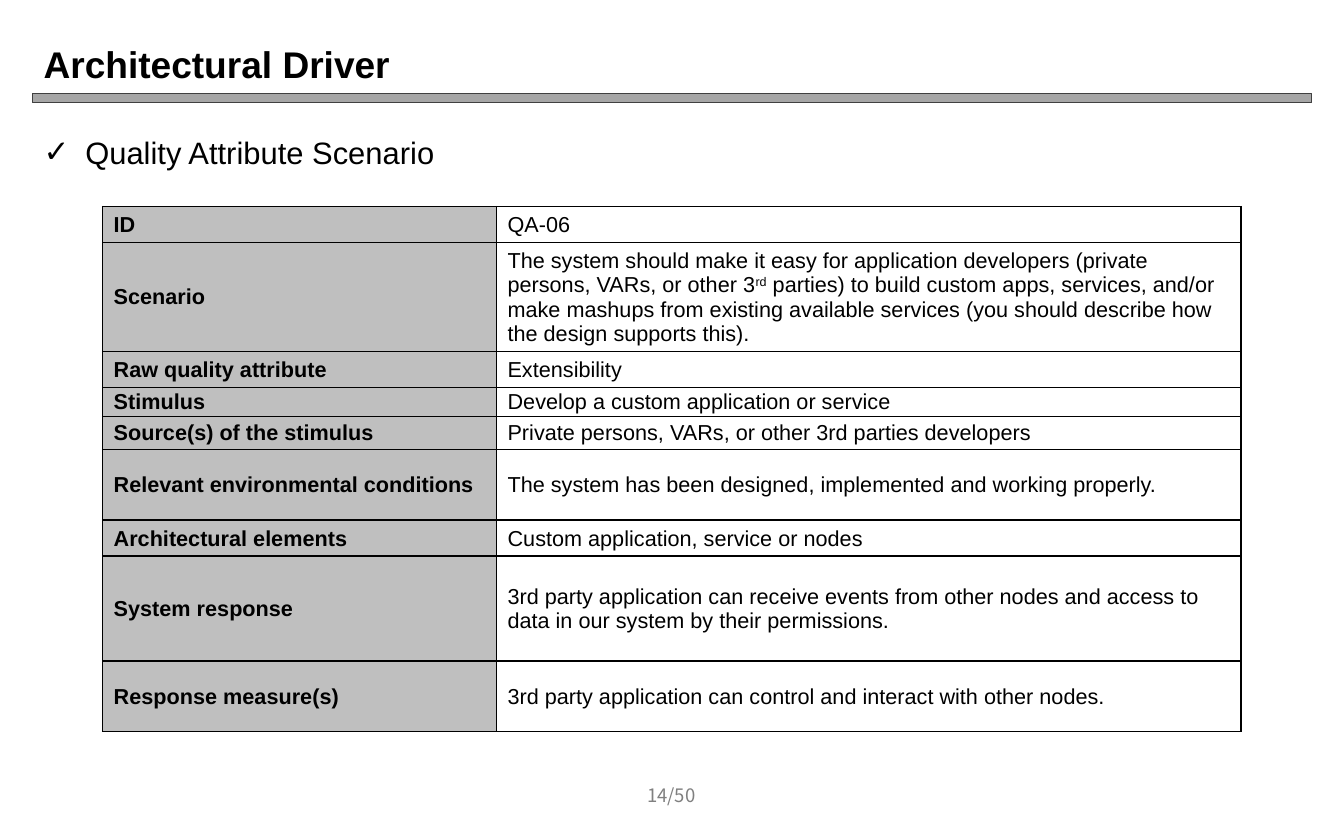
from lxml import etree
from pptx import Presentation
from pptx.dml.color import RGBColor
from pptx.enum.shapes import MSO_SHAPE as Shape
from pptx.enum.text import MSO_ANCHOR as Anchor, MSO_AUTO_SIZE as Fit, PP_ALIGN as Align
from pptx.oxml.ns import qn
from pptx.util import Pt

BLACK = RGBColor(0x00, 0x00, 0x00)
WHITE = RGBColor(0xFF, 0xFF, 0xFF)
BAR = RGBColor(0xA6, 0xA6, 0xA6)
EDGE = RGBColor(0x40, 0x40, 0x40)
LABEL = RGBColor(0xBF, 0xBF, 0xBF)
MUTED = RGBColor(0x80, 0x80, 0x80)

SANS = "Arial"
WIDE, HIGH = 870, 540
LEFT, SPAN = 21, 828
COLS = (255, 482)

# label, row height, text runs as (text, raised)
ROWS = [
    ("ID", 23.3, [("QA-06", False)]),
    ("Scenario", 70.5, [
        ("The system should make it easy for application developers (private "
         "persons, VARs, or other 3", False),
        ("rd", True),
        (" parties) to build custom apps, services, and/or make mashups from "
         "existing available services (you should describe how the design "
         "supports this).", False)]),
    ("Raw quality attribute", 23.3, [("Extensibility", False)]),
    ("Stimulus", 18.8, [("Develop a custom application or service", False)]),
    ("Source(s) of the stimulus", 21.4, [
        ("Private persons, VARs, or other 3rd parties developers", False)]),
    ("Relevant environmental conditions", 45.8, [
        ("The system has been designed, implemented and working properly.", False)]),
    ("Architectural elements", 23.3, [
        ("Custom application, service or nodes", False)]),
    ("System response", 68, [
        ("3rd party application can receive events from other nodes and access "
         "to data in our system by their permissions.", False)]),
    ("Response measure(s)", 45.6, [
        ("3rd party application can control and interact with other nodes.", False)]),
]


def add_run(para, text, size, bold=False, color=BLACK, face=SANS):
    run = para.add_run()
    run.text = text
    font = run.font
    font.size, font.bold, font.name = Pt(size), bold, face
    font.color.rgb = color
    return run


def place(shape, x, y, w, h):
    shape.left, shape.top, shape.width, shape.height = map(Pt, (x, y, w, h))


def add_panel(slide, x, y, w, h, fill, line=None):
    panel = slide.shapes.add_shape(
        Shape.FLOWCHART_PROCESS, Pt(x), Pt(y), Pt(w), Pt(h))
    panel.shadow.inherit = False
    panel.fill.solid()
    panel.fill.fore_color.rgb = fill
    if line is None:
        panel.line.fill.background()
    else:
        panel.line.color.rgb = line
        panel.line.width = Pt(0.75)


def add_header(slide, x, y, w, h):
    add_panel(slide, x, y + h, w, 6, BAR, EDGE)
    add_panel(slide, x, y, w + 6, h, WHITE)
    title = slide.shapes.title
    place(title, x, y + 1, w, h - 1)
    frame = title.text_frame
    frame.auto_size = Fit.NONE
    frame.vertical_anchor = Anchor.MIDDLE
    para = frame.paragraphs[0]
    para.alignment = Align.LEFT
    add_run(para, "Architectural Driver", 24, bold=True)
    slide.shapes._spTree.append(title._element)  # bring in front of the panels


def add_topic(slide, x, y, w, h):
    body = slide.placeholders[1]
    place(body, x, y, w, h)
    frame = body.text_frame
    frame.auto_size = Fit.NONE
    para = frame.paragraphs[0]
    props = para._p.get_or_add_pPr()
    indent = Pt(27)
    props.set("marL", str(indent))
    props.set("indent", str(-indent))
    etree.SubElement(props, qn("a:buFont"), typeface=SANS)
    etree.SubElement(props, qn("a:buChar"), char="✓")
    para.space_before = Pt(0)
    add_run(para, "Quality Attribute Scenario", 20)


def add_edges(cell):
    props = cell._tc.get_or_add_tcPr()
    for side in ("lnL", "lnR", "lnT", "lnB"):
        edge = etree.SubElement(props, qn(f"a:{side}"), w=str(Pt(1)))
        fill = etree.SubElement(edge, qn("a:solidFill"))
        etree.SubElement(fill, qn("a:srgbClr"), val=str(BLACK))


def fill_cell(cell, runs, head):
    cell.vertical_anchor = Anchor.MIDDLE
    cell.margin_left = cell.margin_right = Pt(7.2)
    cell.margin_top, cell.margin_bottom = Pt(0.7), Pt(0)
    add_edges(cell)
    if head:
        cell.fill.solid()
        cell.fill.fore_color.rgb = LABEL
    else:
        cell.fill.background()
    para = cell.text_frame.paragraphs[0]
    for text, raised in runs:
        run = add_run(para, text, 14, bold=head)
        if raised:
            run._r.get_or_add_rPr().set("baseline", "30000")


def add_grid(slide, x, y):
    high = sum(row[1] for row in ROWS)
    table = slide.shapes.add_table(
        len(ROWS), len(COLS), Pt(x), Pt(y), Pt(sum(COLS)), Pt(high)).table
    table.first_row = table.horz_banding = False
    for col, width in zip(table.columns, COLS):
        col.width = Pt(width)
    for i, (label, height, runs) in enumerate(ROWS):
        table.rows[i].height = Pt(height)
        fill_cell(table.cell(i, 0), [(label, False)], True)
        fill_cell(table.cell(i, 1), runs, False)


def add_page(slide, x, y, w, h):
    frame = slide.shapes.add_textbox(Pt(x), Pt(y), Pt(w), Pt(h)).text_frame
    frame.word_wrap = True
    frame.vertical_anchor = Anchor.MIDDLE
    para = frame.paragraphs[0]
    para.alignment = Align.CENTER
    add_run(para, "14/50", 12, color=MUTED, face="Noto Sans CJK KR")


def main():
    deck = Presentation()
    deck.slide_width, deck.slide_height = Pt(WIDE), Pt(HIGH)
    slide = deck.slides.add_slide(deck.slide_layouts[1])
    add_header(slide, LEFT, 21, SPAN, 39.5)
    add_topic(slide, LEFT, 83, SPAN, 408)
    add_page(slide, 395, 500, 79, 29)
    add_grid(slide, 66.4, 133.7)
    deck.save("out.pptx")


if __name__ == "__main__":
    main()
